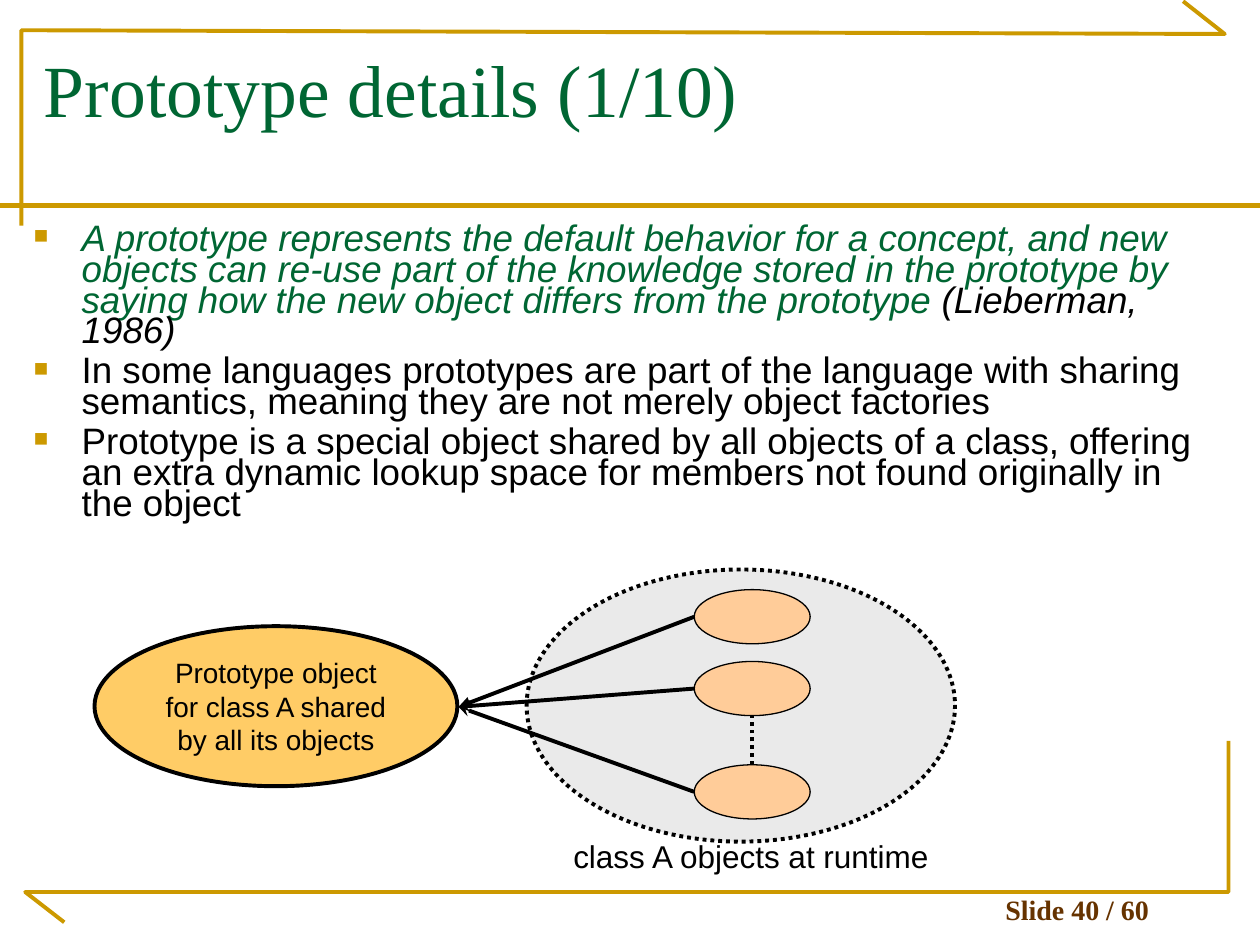
from lxml import etree
from pptx import Presentation
from pptx.dml.color import RGBColor
from pptx.enum.dml import MSO_LINE_DASH_STYLE as Dash
from pptx.enum.shapes import MSO_CONNECTOR as Connector, MSO_SHAPE as Shape
from pptx.enum.text import MSO_ANCHOR as Anchor, PP_ALIGN as Align
from pptx.oxml.ns import qn
from pptx.util import Inches, Pt

GOLD, GREEN, BROWN, BLACK = "CC9900", "006633", "663300", "000000"
SERIF, SANS = "Times New Roman", "Arial"


def colour(value):
    return RGBColor.from_string(value)


def inches(*lengths):
    return [Inches(length) for length in lengths]


class SlideBuilder:
    def __init__(self, page):
        self.page = page
        self.shapes = page.shapes

    def style_line(self, line, value, width, dash=None):
        line.color.rgb = colour(value)
        line.width = Pt(width)
        if dash:
            line.dash_style = dash

    def style_font(self, para, size, name=SANS, value=BLACK, bold=False):
        font = para.font
        font.size, font.name, font.bold = Pt(size), name, bold
        font.color.rgb = colour(value)

    def frame_line(self, *points):
        start, *rest = [inches(*point) for point in points]
        builder = self.shapes.build_freeform(*start)
        builder.add_line_segments(rest, close=False)
        outline = builder.convert_to_shape()
        outline.shadow.inherit = False
        outline.fill.background()
        self.style_line(outline.line, GOLD, 2.25)

    def line(self, start, end, value=BLACK, width=2.25, dash=None, arrow=None):
        link = self.shapes.add_connector(
            Connector.STRAIGHT, *inches(*start, *end))
        self.style_line(link.line, value, width, dash)
        properties = link.line._get_or_add_ln()
        if arrow:
            etree.SubElement(properties, qn("a:tailEnd"), type=arrow)
        etree.SubElement(properties.getparent(), qn("a:effectLst"))

    def ellipse(self, at, fill, width=2.25, dash=None, text=None):
        oval = self.shapes.add_shape(Shape.OVAL, *inches(*at))
        oval.shadow.inherit = False
        oval.fill.solid()
        oval.fill.fore_color.rgb = colour(fill)
        self.style_line(oval.line, BLACK, width, dash)
        if text:
            oval.text_frame.text = text
            para = oval.text_frame.paragraphs[0]
            para.alignment = Align.CENTER
            self.style_font(para, 16)

    def text(self, at, words, size, name=SANS, value=BLACK, bold=False,
             align=Align.LEFT, anchor=Anchor.TOP, wrap=True):
        frame = self.shapes.add_textbox(*inches(*at)).text_frame
        frame.word_wrap, frame.vertical_anchor = wrap, anchor
        para = frame.paragraphs[0]
        para.text, para.alignment = words, align
        self.style_font(para, size, name, value, bold)

    def bullets(self, at, items, size):
        frame = self.shapes.add_textbox(*inches(*at)).text_frame
        frame.word_wrap = True
        for index, item in enumerate(items):
            para = frame.paragraphs[0] if index == 0 else frame.add_paragraph()
            para.line_spacing, para.space_before = 0.7, Pt(5.2)
            self.add_bullet(para)
            self.style_font(para, size)
            for words, value, italic in item:
                span = para.add_run()
                span.text = words
                span.font.italic = italic
                span.font.color.rgb = colour(value)

    def add_bullet(self, para):
        properties = para._p.get_or_add_pPr()
        properties.set("marL", str(Inches(0.38)))
        properties.set("indent", str(-Inches(0.38)))
        tint = etree.SubElement(properties, qn("a:buClr"))
        etree.SubElement(tint, qn("a:srgbClr"), val=GOLD)
        etree.SubElement(properties, qn("a:buSzPct"), val="65000")
        etree.SubElement(properties, qn("a:buFont"), typeface=SANS)
        etree.SubElement(properties, qn("a:buChar"), char="■")


def main():
    deck = Presentation()
    deck.slide_width, deck.slide_height = inches(10, 7.5)
    slide = SlideBuilder(deck.slides.add_slide(deck.slide_layouts[6]))

    slide.frame_line((0.17, 1.79), (0.17, 0.24), (9.72, 0.27), (9.39, 0.01))
    slide.frame_line((0.51, 7.32), (0.2, 7.08), (9.75, 7.08), (9.75, 5.88))
    slide.line((0, 1.63), (10, 1.63), GOLD, 3)
    slide.text((7.37, 7.07, 2.36, 0.33), "Slide 40 / 60", 16, SERIF, BROWN,
               bold=True, align=Align.CENTER, anchor=Anchor.BOTTOM)
    slide.text((0.25, 0.3, 9.42, 1.25), "Prototype details (1/10)", 42,
               SERIF, GREEN)
    slide.bullets((0.17, 1.75, 9.5, 2.76), [
        [("A prototype represents the default behavior for a concept, and new "
          "objects can re-use part of the knowledge stored in the prototype "
          "by saying how the new object differs from the prototype",
          GREEN, True),
         (" (Lieberman, 1986)", BLACK, True)],
        [("In some languages prototypes are part of the language with sharing "
          "semantics, meaning they are not merely object factories",
          BLACK, False)],
        [("Prototype is a special object shared by all objects of a class, "
          "offering an extra dynamic lookup space for members not found "
          "originally in the object", BLACK, False)],
    ], 21)

    slide.ellipse((4.18, 4.52, 3.4, 2.16), "EAEAEA", dash=Dash.ROUND_DOT)
    slide.ellipse((0.75, 4.97, 2.88, 1.27), "FFCC66",
                  text="Prototype object for class A shared by all its objects")
    left, width, height = 5.51, 0.92, 0.43
    middle = left + width / 2
    slide.line((middle, 6.07), (middle, 5.68), dash=Dash.ROUND_DOT)
    for top, arrow in ((4.68, "triangle"), (5.25, "stealth"),
                       (6.07, "stealth")):
        slide.ellipse((left, top, width, height), "FFCC99", 0.75)
        slide.line((left, top + height / 2), (3.64, 5.61), arrow=arrow)
    slide.text((4.45, 6.59, 3.02, 0.4), "class A objects at runtime", 18,
               align=Align.CENTER, wrap=False)

    deck.save("out.pptx")


if __name__ == "__main__":
    main()
